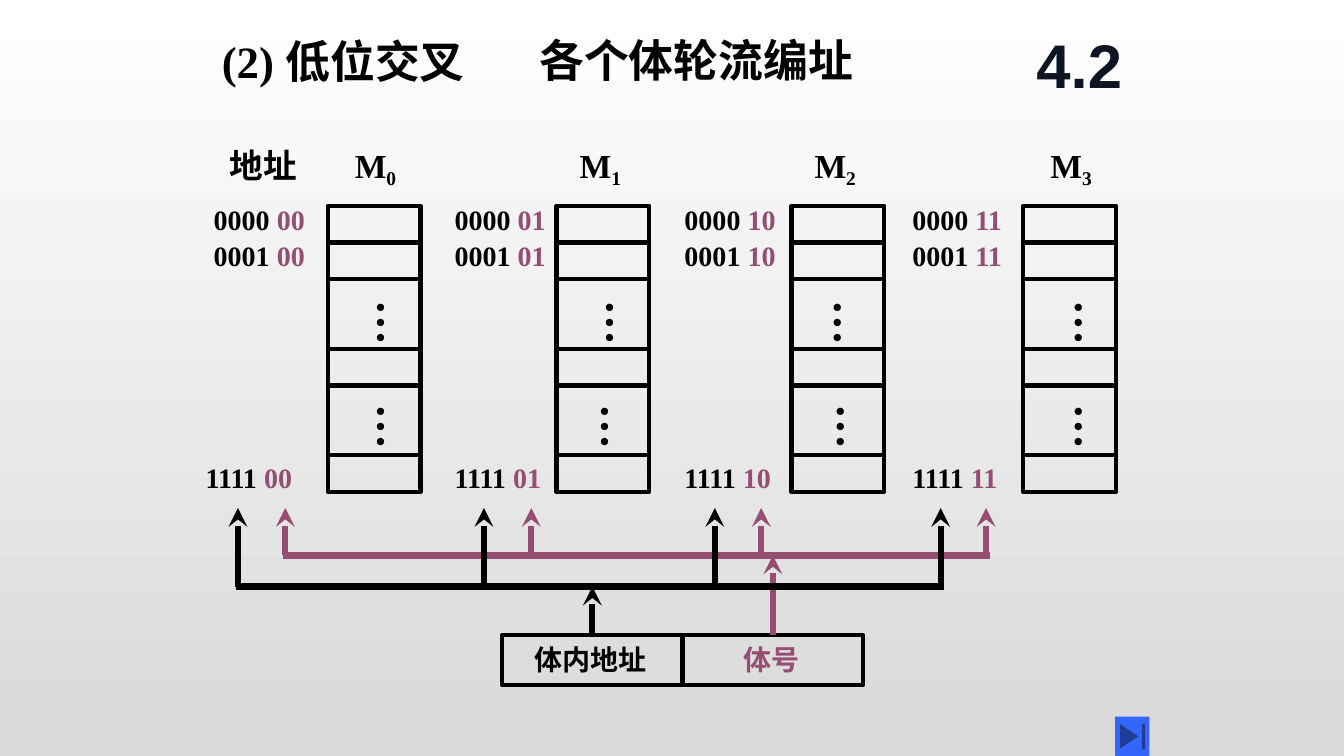
from dataclasses import dataclass
from itertools import accumulate

from lxml import etree
from pptx import Presentation
from pptx import util as u
from pptx.dml.color import RGBColor
from pptx.enum import shapes, text
from pptx.oxml.ns import qn


@dataclass(frozen=True)
class Theme:
    ink: RGBColor = RGBColor(0x00, 0x00, 0x00)
    bank_number: RGBColor = RGBColor(0x95, 0x4D, 0x72)
    section: RGBColor = RGBColor(0x0F, 0x14, 0x23)
    button: RGBColor = RGBColor(0x33, 0x66, 0xFF)
    sky: RGBColor = RGBColor(0xFF, 0xFF, 0xFF)
    ground: RGBColor = RGBColor(0xD9, 0xD9, 0xD9)
    body_font: str = "Times New Roman"
    section_font: str = "Arial"
    section_size: int = 44
    title_size: int = 32
    heading_size: int = 24
    address_size: int = 20
    frame_width: float = 3
    bus_width: float = 4.5


@dataclass(frozen=True)
class Bank:
    """One memory bank; every position is a grid column."""
    number: int
    left: float
    heading: float
    address: float
    last_address: float
    upper_dots: float
    lower_dots: float
    word_arrow: float
    bank_arrow: float


@dataclass(frozen=True)
class Piece:
    """A stretch of text with its own colour or subscript."""
    words: str
    color: RGBColor | None = None
    baseline: int = 0


THEME = Theme()
GRID = u.Inches(0.1)  # side of one grid square

BANKS = [
    Bank(0, 32.5, 34.2, 20.2, 19.4, 35.0, 35.0, 23.6, 28.3),
    Bank(1, 55.2, 56.5, 44.1, 44.1, 57.7, 57.2, 48.0, 52.7),
    Bank(2, 78.5, 79.8, 66.9, 66.9, 80.3, 80.6, 70.9, 75.5),
    Bank(3, 101.5, 103.2, 89.5, 89.5, 104.2, 104.2, 93.3, 97.8),
]
BANK_TOP, BANK_WIDTH = 20.4, 9.2
CELL_HEIGHTS = [3.65, 3.65, 6.9, 3.65, 6.9, 3.65]
ARROW_TIP, BANK_BUS, WORD_BUS = 50.4, 55.1, 58.2
FIELD_TOP, FIELD_WIDTH, FIELD_HEIGHT = 63, 17.9, 5


def grid(n: float) -> u.Emu:
    return u.Emu(round(n * GRID))


def write(frame, pieces: list[Piece], size: int, font: str = THEME.body_font,
          color: RGBColor = THEME.ink, align=text.PP_ALIGN.LEFT) -> None:
    paragraph = frame.paragraphs[0]
    paragraph.alignment = align
    paragraph.font.name = font
    paragraph.font.size = u.Pt(size)
    paragraph.font.bold = True
    paragraph.font.color.rgb = color
    for piece in pieces:
        run = paragraph.add_run()
        run.text = piece.words
        if piece.color is not None:
            run.font.color.rgb = piece.color
        if piece.baseline:
            run._r.get_or_add_rPr().set("baseline", str(piece.baseline))


def add_label(slide, left: float, top: float, width: float, height: float,
              pieces: list[Piece], size: int, wrap: bool = True, **style):
    frame = slide.shapes.add_textbox(*map(grid, (left, top, width, height))).text_frame
    frame.word_wrap = wrap
    frame.auto_size = text.MSO_AUTO_SIZE.SHAPE_TO_FIT_TEXT
    write(frame, pieces, size, **style)
    return frame


def add_box(slide, left: float, top: float, width: float, height: float):
    box = slide.shapes.add_shape(shapes.MSO_SHAPE.RECTANGLE,
                                 *map(grid, (left, top, width, height)))
    box.shadow.inherit = False
    box.fill.background()
    box.line.color.rgb = THEME.ink
    box.line.width = u.Pt(THEME.frame_width)
    return box


def add_wire(slide, x1: float, y1: float, x2: float, y2: float,
             color: RGBColor, arrow: bool = False):
    wire = slide.shapes.add_connector(shapes.MSO_CONNECTOR.STRAIGHT,
                                      *map(grid, (x1, y1, x2, y2)))
    wire.line.color.rgb = color
    wire.line.width = u.Pt(THEME.bus_width)
    if arrow:
        etree.SubElement(wire.line._get_or_add_ln(), qn("a:headEnd"), type="stealth")
    etree.SubElement(wire._element.spPr, qn("a:effectLst"))
    return wire


def add_dots(slide, left: float, top: float) -> None:
    frame = add_label(slide, left, top, 7.4, 5.5, [Piece("…")], THEME.title_size, wrap=False)
    frame._txBody.bodyPr.set("vert", "eaVert")


def add_bank(slide, bank: Bank) -> None:
    add_label(slide, bank.heading, 13.9, 6.2, 5,
              [Piece("M"), Piece(str(bank.number), baseline=-20000)],
              THEME.heading_size, wrap=False)
    tops = accumulate(CELL_HEIGHTS, initial=BANK_TOP)
    for top, height in zip(tops, CELL_HEIGHTS):
        add_box(slide, bank.left, top, BANK_WIDTH, height)
    add_dots(slide, bank.upper_dots, 28.8)
    add_dots(slide, bank.lower_dots, 39.1)
    for word, left, top in (("0000", bank.address, 19.6),
                            ("0001", bank.address, 23.2),
                            ("1111", bank.last_address, 45.2)):
        add_label(slide, left, top, 11.5, 4.4,
                  [Piece(word + " "), Piece(f"{bank.number:02b}", THEME.bank_number)],
                  THEME.address_size)


def add_bus(slide, level: float, taps: list[float], field, color: RGBColor) -> None:
    """Draw a horizontal bus, its arrows to the addresses and its feed from a field."""
    add_wire(slide, taps[0] - 0.2, level, taps[-1] + 0.35, level, color)
    for tap in taps:
        add_wire(slide, tap, ARROW_TIP, tap, level, color, arrow=True)
    middle = (field.left + field.width / 2) / GRID
    feed = add_wire(slide, middle, level, middle, FIELD_TOP, color, arrow=True)
    feed.end_connect(field, 0)


def main() -> None:
    deck = Presentation()
    deck.slide_width, deck.slide_height = u.Inches(13.33), u.Inches(7.5)
    slide = deck.slides.add_slide(deck.slide_layouts[5])

    # Background
    backdrop = slide.background.fill
    backdrop.gradient()
    backdrop.gradient_angle = 270
    for stop, color in zip(backdrop.gradient_stops, (THEME.sky, THEME.ground)):
        stop.color.rgb = color

    # Title line and section number
    title = slide.shapes.title
    title.left, title.top, title.width, title.height = map(grid, (21, 2.8, 64.6, 6.4))
    title.text_frame.vertical_anchor = text.MSO_ANCHOR.TOP
    title.text_frame.word_wrap = True
    title.text_frame.auto_size = text.MSO_AUTO_SIZE.SHAPE_TO_FIT_TEXT
    write(title.text_frame, [Piece("(2) 低位交叉")], THEME.title_size)
    add_label(slide, 52.5, 2.8, 64.6, 6.4, [Piece("各个体轮流编址")], THEME.title_size)
    section = add_label(slide, 100.8, 1.7, 12.5, 9.2, [Piece("4.2")], THEME.section_size,
                        font=THEME.section_font, color=THEME.section,
                        align=text.PP_ALIGN.CENTER)
    section.auto_size = text.MSO_AUTO_SIZE.NONE
    section.vertical_anchor = text.MSO_ANCHOR.MIDDLE

    # Memory banks with their addresses
    add_label(slide, 21.8, 13.9, 8.7, 5, [Piece("地址")], THEME.heading_size, wrap=False)
    for bank in BANKS:
        add_bank(slide, bank)

    # Address register: word address and bank number
    word_field, bank_field = (
        add_box(slide, 49.8 + i * FIELD_WIDTH, FIELD_TOP, FIELD_WIDTH, FIELD_HEIGHT)
        for i in range(2))
    add_label(slide, 52, 63.2, 13.1, 4.4, [Piece("体内地址")], THEME.address_size)
    bank_label = add_label(slide, 69.9, 63.2, 13.1, 4.4, [Piece("体号")],
                           THEME.address_size, color=THEME.bank_number)
    bank_label.margin_left = grid(3.8)

    # Buses from the register to the addresses
    add_bus(slide, BANK_BUS, [b.bank_arrow for b in BANKS], bank_field, THEME.bank_number)
    add_bus(slide, WORD_BUS, [b.word_arrow for b in BANKS], word_field, THEME.ink)

    # Jump button
    button = slide.shapes.add_shape(shapes.MSO_SHAPE.ACTION_BUTTON_END,
                                    *map(grid, (110.6, 71.1, 3.4, 3.9)))
    button.shadow.inherit = False
    button.fill.solid()
    button.fill.fore_color.rgb = THEME.button
    button.line.fill.background()

    deck.save("out.pptx")


if __name__ == "__main__":
    main()
